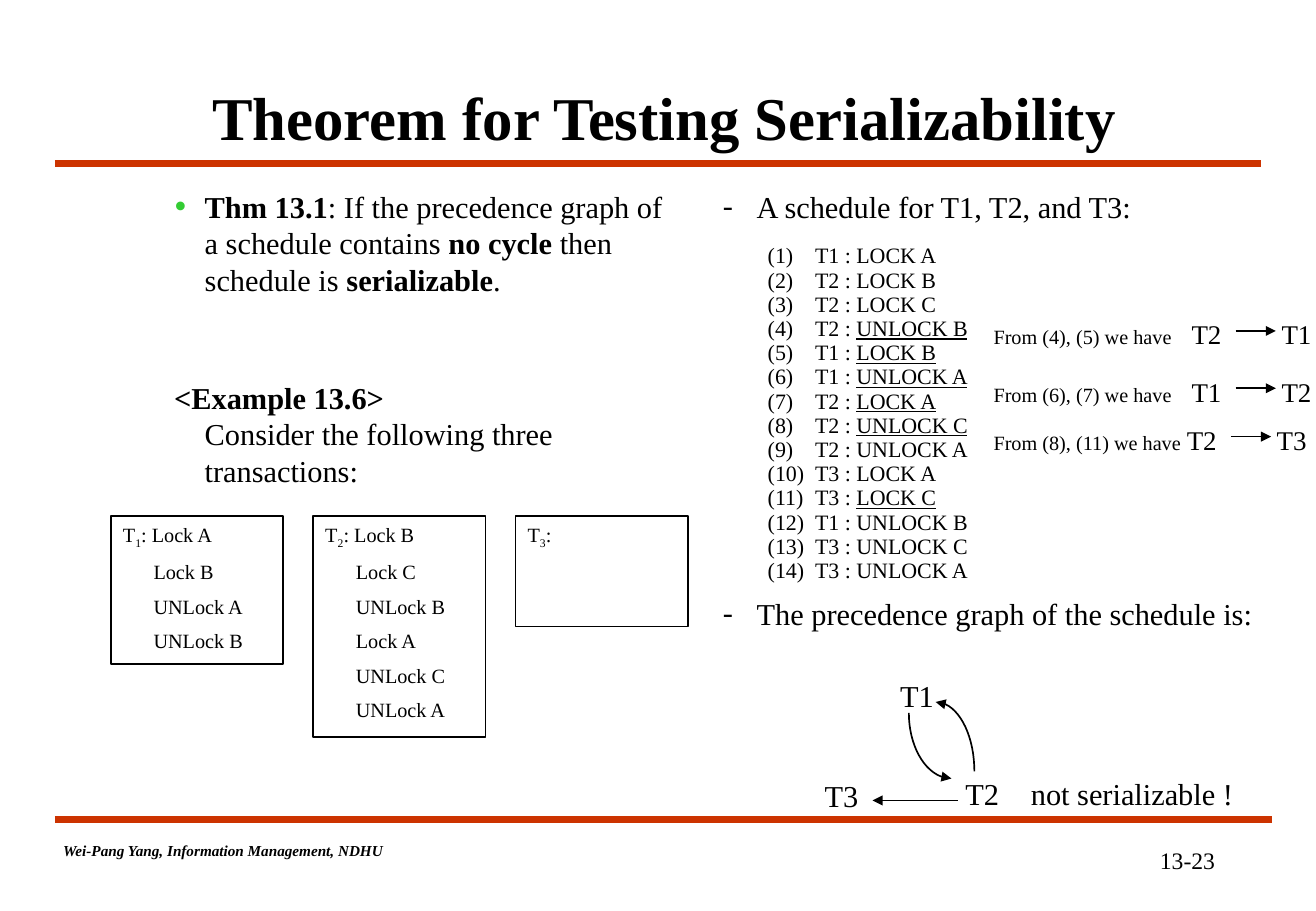
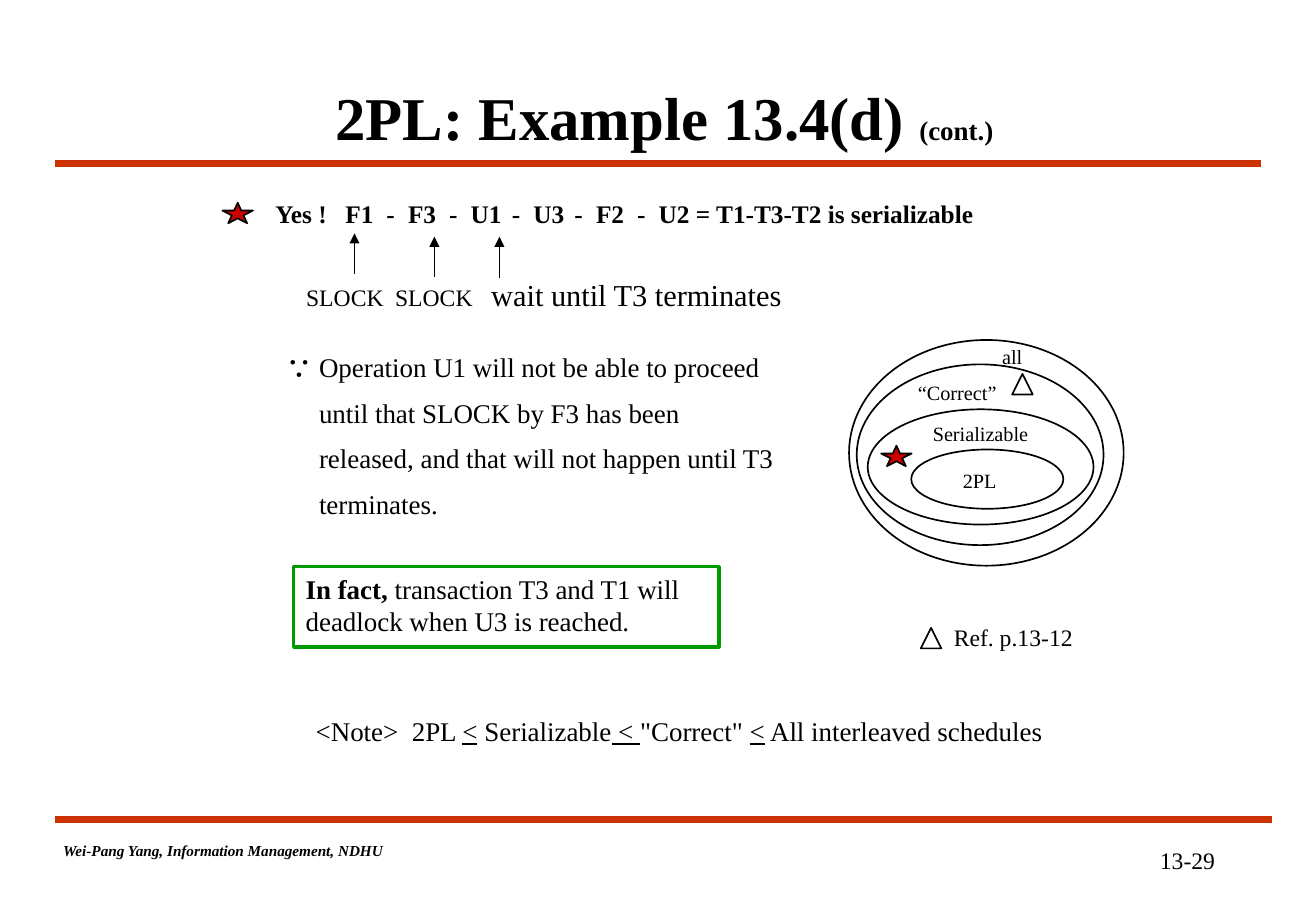
from dataclasses import dataclass
from math import cos, radians, sin
from lxml.etree import SubElement
from pptx import Presentation
from pptx.dml.color import RGBColor
from pptx.enum.shapes import MSO_CONNECTOR, MSO_SHAPE
from pptx.enum.text import MSO_ANCHOR as Anchor, PP_ALIGN as Align
from pptx.oxml.ns import qn
from pptx.util import Cm, Pt

FONT = "Times New Roman"
BLACK, WHITE = "000000", "FFFFFF"
BAND, BULLET, FRAME, STAR = "CC3300", "33CC33", "009900", "C80000"
FOOTER = "Wei-Pang Yang, Information Management, NDHU"


@dataclass
class Span:
    """Text with marks: b bold, i italic, u underline, s subscript."""
    text: str
    marks: str = ""
    size: float = 0


def colour(value):
    return RGBColor.from_string(value)


# Text

def add_para(frame, spans, size, before=0, left=0, hang=0, bullet=None,
             tabs=(), align=Align.LEFT, pitch=None):
    """Add a paragraph; left, hang and tabs are in cm, before and pitch in pt."""
    first = frame.paragraphs[0]
    para = frame.add_paragraph() if first.runs else first
    props = para._p.get_or_add_pPr()
    if left:
        props.set("marL", str(Cm(left)))
        props.set("indent", str(-Cm(hang)))
    if bullet:
        char, tint, percent = bullet
        SubElement(SubElement(props, qn("a:buClr")), qn("a:srgbClr"), val=tint)
        SubElement(props, qn("a:buSzPct"), val=str(percent * 1000))
        SubElement(props, qn("a:buFont"), typeface=FONT)
        SubElement(props, qn("a:buChar"), char=char)
    if tabs:
        stops = SubElement(props, qn("a:tabLst"))
        for stop in tabs:
            SubElement(stops, qn("a:tab"), pos=str(Cm(stop)), algn="l")
    if before:
        para.space_before = Pt(before)
    if pitch:
        para.line_spacing = Pt(pitch)
    para.alignment = align
    for span in spans:
        run = para.add_run()
        run.text = span.text
        font = run.font
        font.name, font.size = FONT, Pt(span.size or size)
        font.bold, font.italic = "b" in span.marks, "i" in span.marks
        font.underline = "u" in span.marks
        font.color.rgb = colour(BLACK)
        if "s" in span.marks:
            run._r.get_or_add_rPr().set("baseline", "-25000")


def add_box(page, left, top, width, height):
    box = page.shapes.add_textbox(Cm(left), Cm(top), Cm(width), Cm(height))
    box.text_frame.word_wrap = True
    return box.text_frame


def add_label(page, left, top, text, size, width=3, height=0.9):
    add_para(add_box(page, left, top, width, height), [Span(text)], size)


# Shapes and lines

def paint(shape, fill=None, line=BLACK, weight=1):
    shape.shadow.inherit = False
    if fill:
        shape.fill.solid()
        shape.fill.fore_color.rgb = colour(fill)
    else:
        shape.fill.background()
    shape.line.color.rgb = colour(line)
    shape.line.width = Pt(weight)


def add_outline(page, kind, left, top, width, height, **look):
    shape = page.shapes.add_shape(kind, Cm(left), Cm(top), Cm(width), Cm(height))
    paint(shape, **look)
    return shape


def add_frame(page, left, top, width, height, **look):
    """Rectangle that holds text from its top left corner."""
    shape = add_outline(page, MSO_SHAPE.RECTANGLE, left, top, width, height, **look)
    frame = shape.text_frame
    frame.word_wrap, frame.vertical_anchor = True, Anchor.TOP
    return frame


def add_tip(shape, end):
    SubElement(shape.element.spPr.find(qn("a:ln")), qn("a:" + end), type="triangle")


def add_line(page, x1, y1, x2, y2, tint=BLACK, weight=1):
    line = page.shapes.add_connector(MSO_CONNECTOR.STRAIGHT,
                                     Cm(x1), Cm(y1), Cm(x2), Cm(y2))
    line.line.color.rgb = colour(tint)
    line.line.width = Pt(weight)
    SubElement(line.element.spPr, qn("a:effectLst"))
    return line


def add_arrow(page, x1, y1, x2, y2):
    add_tip(add_line(page, x1, y1, x2, y2), "tailEnd")


def add_curve(page, centre_x, centre_y, radius_x, radius_y, start, pieces=18):
    """Quarter ellipse, clockwise from start degrees, arrowhead at the start."""
    angles = [radians(start + 90 * piece / pieces) for piece in range(pieces + 1)]
    points = [(Cm(centre_x + radius_x * cos(angle)),
               Cm(centre_y + radius_y * sin(angle))) for angle in angles]
    builder = page.shapes.build_freeform(*points[0])
    builder.add_line_segments(points[1:], close=False)
    curve = builder.convert_to_shape()
    paint(curve)
    add_tip(curve, "headEnd")


# Parts of every slide

def add_page(deck, title, number):
    page = deck.slides.add_slide(deck.slide_layouts[6])
    add_line(page, 1.15, 17.14, 26.59, 17.14, BAND, 4.5)
    add_line(page, 1.15, 3.42, 26.37, 3.42, BAND, 4.5)
    add_para(add_box(page, 23.95, 17.56, 1.75, 0.86), [Span(number)], 14,
             align=Align.CENTER)
    add_para(add_box(page, 1.07, 17.46, 8.2, 0.64), [Span(FOOTER, "bi")], 9)
    heading = add_box(page, 2.54, 1.7, 22.7, 1.47)
    heading.vertical_anchor = Anchor.MIDDLE
    add_para(heading, title, 36, align=Align.CENTER)
    return page


# Slide on the theorem

def add_theorem(page):
    body = add_box(page, 3.39, 3.81, 11, 8)
    add_para(body, [
        Span("Thm 13.1", "b"),
        Span(": If the precedence graph of a schedule contains "),
        Span("no cycle", "b"), Span(" then schedule is "),
        Span("serializable", "b"), Span(".")],
        18, left=0.64, hang=0.64, bullet=("•", BULLET, 120))
    add_para(body, [Span("<Example 13.6>", "b")], 18, before=48.4,
             left=0.64, hang=0.64)
    add_para(body, [Span("Consider the following three transactions:")], 18,
             left=0.64)


def add_transactions(page):
    transactions = [
        (3.1, ["Lock A", "Lock B", "UNLock A", "UNLock B"]),
        (4.62, ["Lock B", "Lock C", "UNLock B", "Lock A", "UNLock C", "UNLock A"]),
        (2.31, []),
    ]
    for index, (height, steps) in enumerate(transactions):
        frame = add_frame(page, 2.32 + 4.23 * index, 10.79, 3.6, height)
        opening = ": " + steps[0] if steps else ":"
        add_para(frame, [Span("T"), Span(str(index + 1), "s"), Span(opening)], 12)
        for step in steps[1:]:
            add_para(frame, [Span(step)], 12, before=6, left=0.64)


def add_schedule(page):
    for top, text in [(3.81, "A schedule for T1, T2, and T3:"),
                      (12.32, "The precedence graph of the schedule is:")]:
        add_para(add_box(page, 14.86, top, 12, 1), [Span(text)], 18,
                 left=0.71, hang=0.71, bullet=("-", BLACK, 100))
    steps = [
        ("T1", "LOCK A"), ("T2", "LOCK B"), ("T2", "LOCK C"),
        ("T2", "UNLOCK B"), ("T1", "LOCK B"), ("T1", "UNLOCK A"),
        ("T2", "LOCK A"), ("T2", "UNLOCK C"), ("T2", "UNLOCK A"),
        ("T3", "LOCK A"), ("T3", "LOCK C"), ("T1", "UNLOCK B"),
        ("T3", "UNLOCK C"), ("T3", "UNLOCK A"),
    ]
    conflicts = {4, 5, 6, 7, 8, 11}
    rows = add_box(page, 15.8, 4.98, 5, 7.35)
    for number, (owner, action) in enumerate(steps, 1):
        marks = "u" if number in conflicts else ""
        add_para(rows, [Span(f"({number})\t{owner} : "), Span(action, marks)],
                 13, tabs=[0.99], pitch=14.35)


def add_edges(page):
    for top, pair, before, after, shift in [
            (6.52, "(4), (5)", "T2", "T1", 0),
            (7.72, "(6), (7)", "T1", "T2", 0),
            (8.73, "(8), (11)", "T2", "T3", 0.1)]:
        frame = add_box(page, 20.52, top, 6.99, 0.91)
        frame.margin_right = 0
        add_para(frame, [Span(f"From {pair} we have", size=12),
                         Span(f"\t{before}\t{after}")],
                 16, tabs=[4.14 - shift, 6.02 - shift])
        add_arrow(page, 25.83 - shift, top + 0.4, 26.67 - shift, top + 0.4)


def add_graph(page):
    for left, top, text, width in [
            (18.57, 14.04, "T1", 1.4), (19.93, 16.09, "T2", 1.4),
            (16.99, 16.12, "T3", 1.4),
            (21.3, 16.08, "not serializable !", 5.2)]:
        add_label(page, left, top, text, 18, width)
    add_curve(page, 19.89, 14.91, 0.89, 1.37, start=90)
    add_curve(page, 19.56, 16.13, 0.81, 1.45, start=270)
    add_arrow(page, 20.02, 16.74, 18.24, 16.74)


# Slide on two-phase locking

def add_answer(page):
    operations = ["F1", "F3", "U1", "U3", "F2", "U2"]
    tabs = [1.46 + 1.31 * index + offset
            for index in range(len(operations)) for offset in (0, 0.86)]
    add_para(add_box(page, 5.51, 4.02, 17.15, 1),
             [Span("Yes !\t" + "\t-\t".join(operations)
                   + " = T1-T3-T2 is serializable", "b")], 15, tabs=tabs)
    add_para(add_box(page, 6.15, 5.64, 11, 1.02),
             [Span("SLOCK\tSLOCK\t", size=14), Span("wait until T3 terminates")],
             18, tabs=[1.86, 3.87])
    for x, bottom, top in [(7.41, 5.72, 4.88), (9.08, 5.79, 4.95),
                           (10.44, 5.82, 4.95)]:
        add_arrow(page, x, bottom, x, top)


def add_reason(page):
    reason = add_box(page, 5.72, 7.2, 11, 4)
    add_para(reason, [Span("∵\t", "b"),
                      Span("Operation U1 will not be able to proceed")],
             16, left=0.7, hang=0.7)
    for text in ["until that SLOCK by F3 has been",
                 "released, and that will not happen until T3", "terminates."]:
        add_para(reason, [Span(text)], 16, before=8, left=0.7)
    fact = add_frame(page, 6.14, 11.85, 8.89, 1.68, line=FRAME, weight=2)
    add_para(fact, [Span("In fact,", "b"),
                    Span(" transaction T3 and T1 will deadlock when U3 is reached.")],
             16)
    note = add_box(page, 6.35, 14.81, 18, 0.91)
    add_para(note, [Span("<Note>\t2PL "), Span("<", "u"), Span(" Serializable"),
                    Span(" < ", "u"), Span('"Correct" '), Span("<", "u"),
                    Span(" All interleaved schedules")], 16, tabs=[2.01])


def add_classes(page):
    for left, top, text in [(19.88, 9.67, "2PL"), (19.25, 8.69, "Serializable"),
                            (18.94, 7.82, "“Correct”"), (20.7, 7.07, "all")]:
        add_label(page, left, top, text, 12, height=0.76)
    add_label(page, 19.69, 12.91, "Ref. p.13-12", 14, width=4)
    for bounds in [(19.05, 9.4, 3.18, 1.24), (18.14, 8.56, 4.72, 2.41),
                   (17.91, 7.62, 5.16, 3.78), (17.75, 7.11, 5.74, 4.72)]:
        add_outline(page, MSO_SHAPE.OVAL, *bounds)
    for left, top in [(18.42, 9.32), (4.65, 4.24)]:
        add_outline(page, MSO_SHAPE.STAR_5_POINT, left, top, 0.64, 0.43, fill=STAR)
    for left, top in [(21.16, 7.82), (19.25, 13.13)]:
        add_outline(page, MSO_SHAPE.ISOSCELES_TRIANGLE, left, top, 0.43, 0.43,
                    fill=WHITE)


def main():
    deck = Presentation()
    deck.slide_width, deck.slide_height = Cm(27.51), Cm(19.05)

    theorem = add_page(
        deck, [Span("Theorem for Testing Serializability", "b")], "13-23")
    for add_part in (add_theorem, add_transactions, add_schedule, add_edges,
                     add_graph):
        add_part(theorem)

    locking = add_page(deck, [Span("2PL: Example 13.4(d) ", "b"),
                              Span("(cont.)", "b", 16)], "13-29")
    for add_part in (add_answer, add_reason, add_classes):
        add_part(locking)

    deck.save("out.pptx")


if __name__ == "__main__":
    main()
